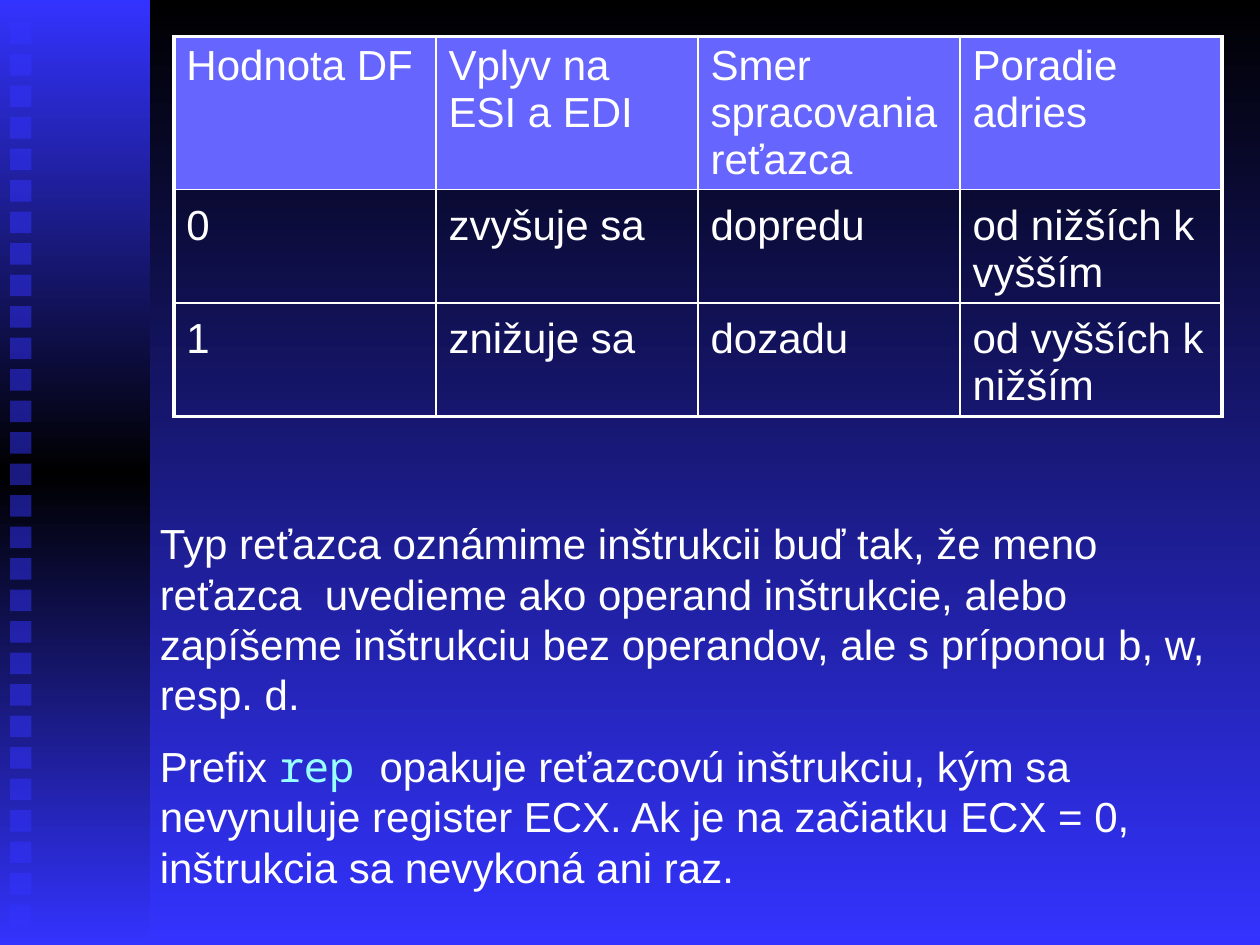
from copy import deepcopy

from lxml import etree
from pptx import Presentation
from pptx.dml.color import RGBColor
from pptx.enum.shapes import MSO_SHAPE
from pptx.oxml.ns import qn
from pptx.util import Inches, Pt

RECTANGLE = MSO_SHAPE.RECTANGLE
BLANK_LAYOUT = 6
DOWNWARD = 270
COLORS = {"night": "000000", "blue": "3333FF", "header": "6666FF",
          "text": "FFFFFF", "code": "99FFFF"}
THIN, THICK = 1, 2.25

FLAG_EFFECTS = [
    ["Hodnota DF", "Vplyv na ESI a EDI", "Smer spracovania reťazca", "Poradie adries"],
    ["0", "zvyšuje sa", "dopredu", "od nižších k vyšším"],
    ["1", "znižuje sa", "dozadu", "od vyšších k nižším"],
]
EXPLANATION = [
    [("Typ reťazca oznámime inštrukcii buď tak, že meno reťazca  uvedieme ako "
      "operand inštrukcie, alebo zapíšeme inštrukciu bez operandov, ale s "
      "príponou b, w, resp. d.", "text")],
    [("Prefix ", "text"), ("rep ", "code"),
     ("opakuje reťazcovú inštrukciu, kým sa nevynuluje register ECX. Ak je na "
      "začiatku ECX = 0, inštrukcia sa nevykoná ani raz.", "text")],
]


def rgb(name):
    return RGBColor.from_string(COLORS[name])


class SlideBuilder:
    font = "Arial"
    code_font = "Noto Sans Mono"
    size = Pt(24)

    def __init__(self, slide):
        self.slide = slide

    def gradient(self, fill, colors):
        for stop, color in zip(fill.gradient_stops, colors):
            stop.color.rgb = rgb(color)
        fill.gradient_angle = DOWNWARD

    def background(self, *colors):
        fill = self.slide.background.fill
        fill.gradient()
        self.gradient(fill, colors)

    def rectangle(self, left, top, width, height):
        shape = self.slide.shapes.add_shape(
            RECTANGLE, Inches(left), Inches(top), Inches(width), Inches(height))
        shape.shadow.inherit = False
        shape.line.fill.background()
        return shape

    def side_band(self, width, height, *colors):
        band = self.rectangle(0, 0, width, height)
        band.fill.gradient()
        # The default gradient has two stops; add one in the middle
        stops = band._element.spPr.find(".//" + qn("a:gsLst"))
        middle = deepcopy(stops[0])
        middle.set("pos", "50000")
        stops.insert(1, middle)
        self.gradient(band.fill, colors)

    def square(self, left, top, side):
        square = self.rectangle(left, top, side, side)
        square.fill.solid()
        square.fill.fore_color.rgb = rgb("blue")
        color = square._element.spPr.find(".//" + qn("a:srgbClr"))
        etree.SubElement(color, qn("a:alpha"), val="50000")

    def style(self, font):
        font.name = self.font
        font.size = self.size
        font.color.rgb = rgb("text")

    def borders(self, cell, widths):
        properties = cell._tc.get_or_add_tcPr()
        for index, (side, width) in enumerate(widths.items()):
            line = etree.Element(qn(f"a:ln{side}"), w=str(Pt(width)))
            fill = etree.SubElement(line, qn("a:solidFill"))
            etree.SubElement(fill, qn("a:srgbClr"), val=COLORS["text"])
            properties.insert(index, line)

    def table(self, rows, left, top, column_width, row_heights):
        last_row, last_column = len(rows) - 1, len(rows[0]) - 1
        table = self.slide.shapes.add_table(
            len(rows), len(rows[0]), Inches(left), Inches(top),
            Inches(column_width * len(rows[0])), Inches(sum(row_heights))).table
        table.horz_banding = False
        table.first_row = False
        for column in table.columns:
            column.width = Inches(column_width)
        for r, (values, height) in enumerate(zip(rows, row_heights)):
            table.rows[r].height = Inches(height)
            for c, value in enumerate(values):
                cell = table.cell(r, c)
                cell.text = value
                self.style(cell.text_frame.paragraphs[0].font)
                if r == 0:
                    cell.fill.solid()
                    cell.fill.fore_color.rgb = rgb("header")
                else:
                    cell.fill.background()
                    cell.margin_top = Inches(0.1)
                self.borders(cell, {
                    "L": THICK if c == 0 else THIN,
                    "R": THICK if c == last_column else THIN,
                    "T": THICK if r == 0 else THIN,
                    "B": THICK if r == last_row else THIN,
                })

    def text(self, paragraphs, left, top, width, height):
        frame = self.slide.shapes.add_textbox(
            Inches(left), Inches(top), Inches(width), Inches(height)).text_frame
        frame.word_wrap = True
        for index, pieces in enumerate(paragraphs):
            paragraph = frame.paragraphs[0] if index == 0 else frame.add_paragraph()
            if index:
                paragraph.space_before = Pt(12)
            self.style(paragraph.font)
            for content, kind in pieces:
                run = paragraph.add_run()
                run.text = content
                if kind == "code":
                    run.font.name = self.code_font
                    run.font.color.rgb = rgb(kind)


def main():
    presentation = Presentation()
    presentation.slide_width = Inches(10)
    presentation.slide_height = Inches(7.5)
    layout = presentation.slide_layouts[BLANK_LAYOUT]
    builder = SlideBuilder(presentation.slides.add_slide(layout))

    # Background and decorated side band
    builder.background("night", "blue")
    builder.side_band(1.19, 7.5, "blue", "night", "blue")
    for i in range(29):
        builder.square(0.08, 0.18 + 0.25 * i, 0.17)

    # Effect of the direction flag
    builder.table(FLAG_EFFECTS, 1.38, 0.29, 2.08, [1.21, 0.9, 0.9])

    # String type and the repeat prefix
    builder.text(EXPLANATION, 1.17, 4.06, 8.83, 3.13)

    presentation.save("out.pptx")


if __name__ == "__main__":
    main()
